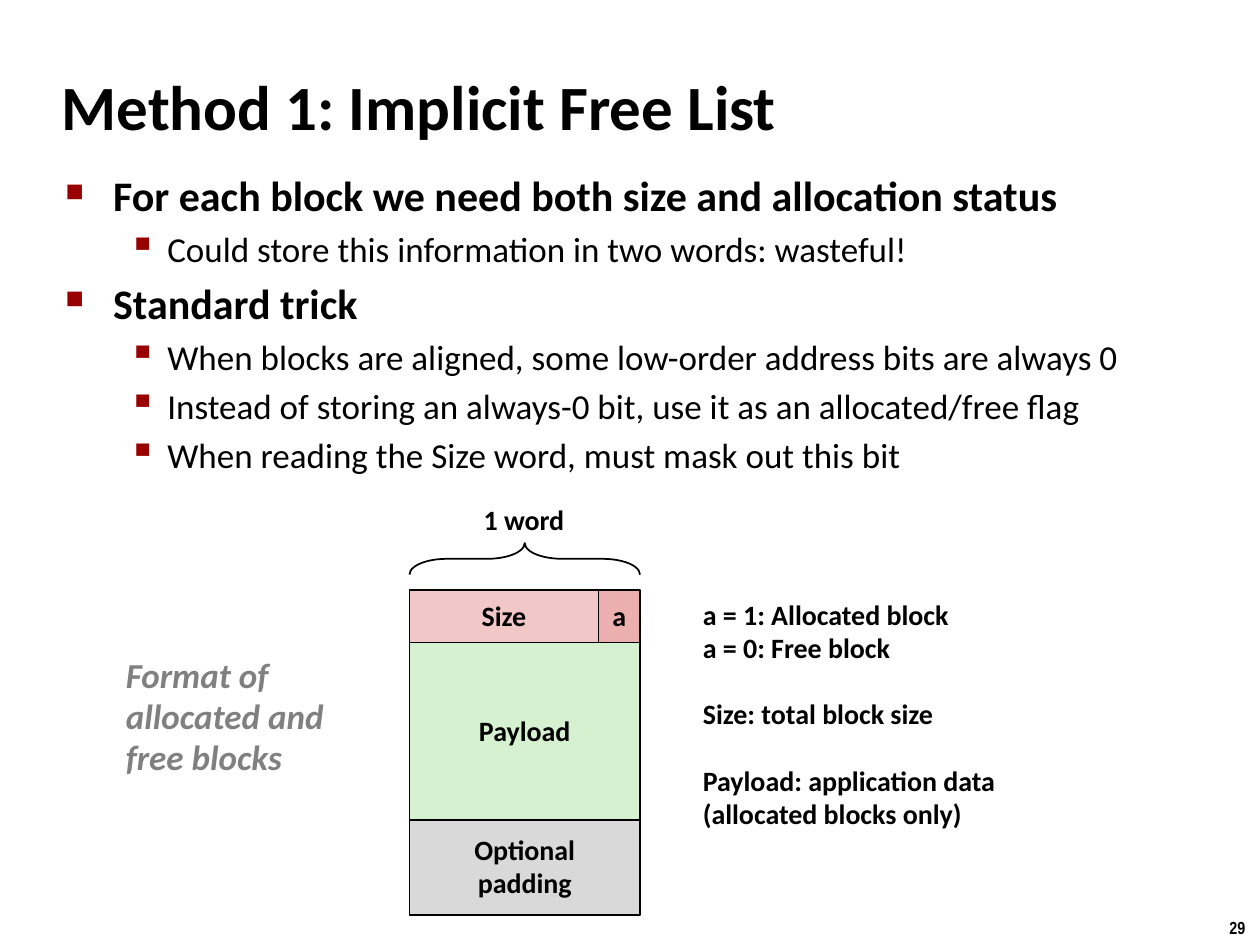
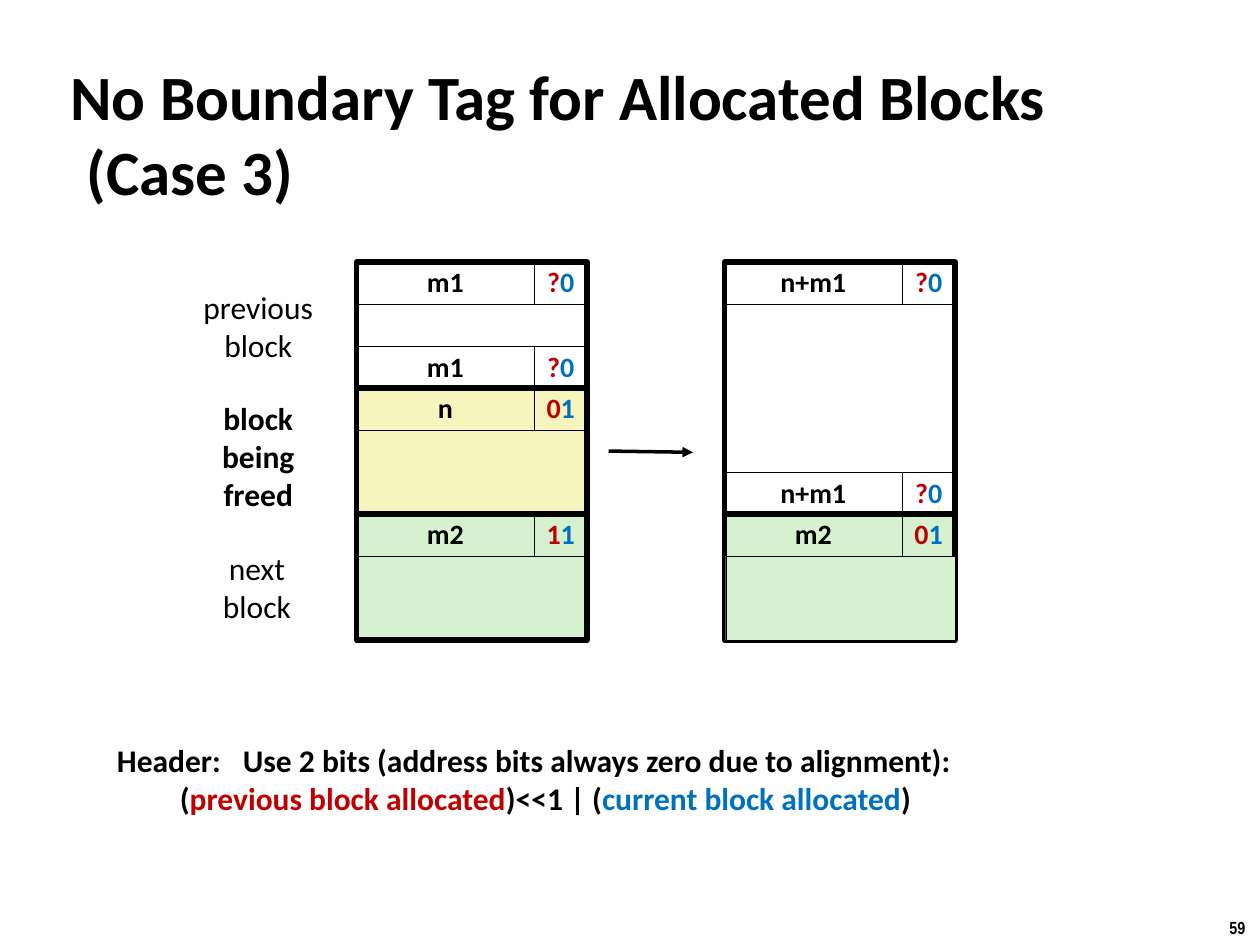
"""Build two slides on block formats in a memory allocator."""
import dataclasses

import pptx
import pptx.dml.color
import pptx.enum.shapes
import pptx.enum.text
import pptx.oxml.ns
import pptx.util
from lxml import etree

Inches = pptx.util.Inches
Pt = pptx.util.Pt
SHAPE = pptx.enum.shapes.MSO_SHAPE
ALIGN = pptx.enum.text.PP_ALIGN
ANCHOR = pptx.enum.text.MSO_ANCHOR
FIT = pptx.enum.text.MSO_AUTO_SIZE


@dataclasses.dataclass(frozen=True)
class Theme:
    """Colours, fonts and type sizes of the deck."""
    ink: str = "000000"
    white: str = "FFFFFF"
    bullet: str = "990000"
    caption: str = "808080"
    size: str = "F1C7C7"
    flag: str = "EBAFAF"
    green: str = "D5F1CF"
    padding: str = "D9D9D9"
    yellow: str = "F6F5BD"
    previous: str = "C00000"
    current: str = "0070C0"
    title: dict = dataclasses.field(default_factory=lambda: dict(name="Calibri", size=Pt(36), bold=True))
    topic: dict = dataclasses.field(default_factory=lambda: dict(name="Calibri", size=Pt(24), bold=True))
    detail: dict = dataclasses.field(default_factory=lambda: dict(name="Calibri", size=Pt(20), bold=False))
    format: dict = dataclasses.field(
        default_factory=lambda: dict(name="Calibri", size=Pt(20), bold=True, italic=True))
    cell: dict = dataclasses.field(default_factory=lambda: dict(name="Calibri", size=Pt(16), bold=True))
    label: dict = dataclasses.field(default_factory=lambda: dict(name="Calibri", size=Pt(18), bold=False))
    strong: dict = dataclasses.field(default_factory=lambda: dict(name="Calibri", size=Pt(18), bold=True))
    number: dict = dataclasses.field(default_factory=lambda: dict(name="Arial Narrow", size=Pt(10), bold=True))


THEME = Theme()

IMPLICIT = dict(title="Method 1: Implicit Free List", title_at=(0.39, 0.52, 7.21, 0.63), number="29")
OUTLINE = [
    (0, "For each block we need both size and allocation status"),
    (1, "Could store this information in two words: wasteful!"),
    (0, "Standard trick"),
    (1, "When blocks are aligned, some low-order address bits are always 0"),
    (1, "Instead of storing an always-0 bit, use it as an allocated/free flag"),
    (1, "When reading the Size word, must mask out this bit"),
]
LEVELS = [
    dict(font=THEME.topic, left=0.38, hang=0.38, mark="■", percent=60, before=4.8),
    dict(font=THEME.detail, left=0.81, hang=0.31, mark="▪", percent=110, before=4),
]
FORMAT_LEFT, FORMAT_TOP, WORD, FLAG = 3.25, 4.68, 1.83, 0.33
FORMAT_ROWS = [
    (0.42, [(WORD - FLAG, ["Size"], THEME.size), (FLAG, ["a"], THEME.flag)]),
    (1.41, [(WORD, ["Payload"], THEME.green)]),
    (0.75, [(WORD, ["Optional", "padding"], THEME.padding)]),
]
FORMAT_CAPTION = ["Format of", "allocated and", "free blocks"]
LEGEND = [
    ["a = 1: Allocated block", "a = 0: Free block"],
    ["Size: total block size"],
    ["Payload: application data", "(allocated blocks only)"],
]

BOUNDARY = dict(title="No Boundary Tag for Allocated Blocks (Case 3)",
                title_at=(0.46, 0.74, 9.08, 0.63), number="59")
MEMORY_TOP, UNIT, SIZE_WIDTH, BITS_WIDTH = 2.08, 1 / 3, 1.41, 0.42
MEMORY_WIDTH = SIZE_WIDTH + BITS_WIDTH
BEFORE_LEFT, AFTER_LEFT = 2.83, 5.75
BEFORE = [
    (THEME.white, [(1, "m1", "?0"), (1, None, None), (1, "m1", "?0")]),
    (THEME.yellow, [(1, "n", "01"), (2, None, None)]),
    (THEME.green, [(1, "m2", "11"), (2, None, None)]),
]
AFTER = [
    (THEME.white, [(1, "n+m1", "?0"), (4, None, None), (1, "n+m1", "?0")]),
    (THEME.green, [(1, "m2", "01"), (2, None, None)]),
]
BLOCK_LABELS = [
    (["previous", "block"], (1.5, 2.24, 1.1, 0.71), THEME.label),
    (["block", "being", "freed"], (1.66, 3.12, 0.78, 1.01), THEME.strong),
    (["next", "block"], (1.66, 4.31, 0.76, 0.71), THEME.label),
]
HEADER = [
    "Header:\tUse 2 bits (address bits always zero due to alignment):",
    [("\t(", THEME.ink), ("previous block allocated", THEME.previous), (")<<1 | (", THEME.ink),
     ("current block allocated", THEME.current), (")", THEME.ink)],
]


def rgb(colour):
    return pptx.dml.color.RGBColor.from_string(colour)


def box(at):
    return [Inches(length) for length in at]


def apply(target, values):
    for name, value in values.items():
        setattr(target, name, value)


def write(paragraph, content, font, colour=THEME.ink):
    """Fill a paragraph with a string or with (text, colour) runs."""
    runs = [(content, colour)] if isinstance(content, str) else content
    for text, run_colour in runs:
        run = paragraph.add_run()
        run.text = text
        apply(run.font, font)
        run.font.color.rgb = rgb(run_colour)


def write_lines(frame, lines, font, colour=THEME.ink, **layout):
    for index, line in enumerate(lines):
        paragraph = frame.paragraphs[0] if index == 0 else frame.add_paragraph()
        apply(paragraph, layout)
        write(paragraph, line, font, colour)


def add_label(slide, at, lines, font, colour=THEME.ink, **layout):
    frame = slide.shapes.add_textbox(*box(at)).text_frame
    apply(frame, dict(word_wrap=False, auto_size=FIT.SHAPE_TO_FIT_TEXT))
    write_lines(frame, lines, font, colour, **layout)
    return frame


def add_cell(slide, at, fill=None, lines=(), weight=0.25, kind=SHAPE.RECTANGLE):
    """Draw an outlined shape, filled and labelled when asked."""
    cell = slide.shapes.add_shape(kind, *box(at))
    cell.shadow.inherit = False
    if fill:
        cell.fill.solid()
        cell.fill.fore_color.rgb = rgb(fill)
    else:
        cell.fill.background()
    cell.line.color.rgb = rgb(THEME.ink)
    cell.line.width = Pt(weight)
    apply(cell.text_frame, dict(word_wrap=False, vertical_anchor=ANCHOR.MIDDLE))
    write_lines(cell.text_frame, lines, THEME.cell, alignment=ALIGN.CENTER, line_spacing=0.98)
    return cell


def indent(paragraph, left, hang):
    properties = paragraph._p.get_or_add_pPr()
    properties.set("marL", str(Inches(left)))
    properties.set("indent", str(-Inches(hang)))
    return properties


def add_slide(deck, title, title_at, number):
    slide = deck.slides.add_slide(deck.slide_layouts[5])
    heading = slide.shapes.title
    apply(heading, dict(zip(("left", "top", "width", "height"), box(title_at))))
    frame = heading.text_frame
    apply(frame, dict(word_wrap=True, auto_size=FIT.NONE, vertical_anchor=ANCHOR.MIDDLE))
    indent(frame.paragraphs[0], 0.13, 0.13)
    write_lines(frame, [title], THEME.title, alignment=ALIGN.LEFT)
    add_label(slide, (9.66, 7.23, 0.34, 0.27), [number], THEME.number)
    return slide


def add_outline(slide):
    frame = slide.shapes.add_textbox(*box((0.42, 1.3, 9.03, 2.36))).text_frame
    frame.word_wrap = True
    for index, (depth, text) in enumerate(OUTLINE):
        level = LEVELS[depth]
        paragraph = frame.add_paragraph() if index else frame.paragraphs[0]
        paragraph.level = depth
        properties = indent(paragraph, level["left"], level["hang"])
        colour = etree.SubElement(properties, pptx.oxml.ns.qn("a:buClr"))
        etree.SubElement(colour, pptx.oxml.ns.qn("a:srgbClr"), val=THEME.bullet)
        etree.SubElement(properties, pptx.oxml.ns.qn("a:buSzPct"), val=str(level["percent"] * 1000))
        etree.SubElement(properties, pptx.oxml.ns.qn("a:buChar"), char=level["mark"])
        if index:
            paragraph.space_before = Pt(level["before"])
        write(paragraph, text, level["font"])


def add_format(slide):
    top = FORMAT_TOP
    for height, cells in FORMAT_ROWS:
        left = FORMAT_LEFT
        for width, lines, fill in cells:
            add_cell(slide, (left, top, width, height), fill, lines, weight=1)
            left += width
        top += height
    brace = add_cell(slide, (4.04, 3.52, 0.25, WORD), weight=1, kind=SHAPE.RIGHT_BRACE)
    brace.rotation = 270
    brace.adjustments[0] = 1.19
    add_label(slide, (3.74, 3.95, 0.85, 0.37), ["1 word"], THEME.cell, line_spacing=0.98)
    add_label(slide, (0.9, 5.15, 1.78, 1.09), FORMAT_CAPTION, THEME.format, THEME.caption,
              line_spacing=0.98)
    legend = add_label(slide, (5.48, 4.71, 2.55, 2.22), sum(LEGEND, []), THEME.cell, line_spacing=0.98)
    start = 0
    for group in LEGEND[:-1]:
        start += len(group)
        legend.paragraphs[start].space_before = Pt(19)


def add_memory(slide, left, blocks, cover_last=False):
    """Draw a column of blocks; cover_last lays the last row over the frames."""
    top, frames = MEMORY_TOP, []
    for fill, rows in blocks:
        block_top = top
        for units, size, bits in rows:
            height = units * UNIT
            row = (left, top, MEMORY_WIDTH, height)
            if size:
                flags = [list(zip(bits, (THEME.previous, THEME.current)))]
                add_cell(slide, (left, top, SIZE_WIDTH, height), fill, [size])
                add_cell(slide, (left + SIZE_WIDTH, top, BITS_WIDTH, height), fill, flags)
            else:
                add_cell(slide, row, fill)
            top += height
        frames.append((left, block_top, MEMORY_WIDTH, top - block_top))
    for frame in frames:
        add_cell(slide, frame, weight=3)
    if cover_last:
        add_cell(slide, (left + 0.01, row[1], MEMORY_WIDTH - 0.01, row[3]), fill)


def add_arrow(slide, start, end):
    arrow = slide.shapes.add_connector(pptx.enum.shapes.MSO_CONNECTOR.STRAIGHT, *box(start + end))
    arrow.line.color.rgb = rgb(THEME.ink)
    arrow.line.width = Pt(2)
    etree.SubElement(arrow.line._get_or_add_ln(), pptx.oxml.ns.qn("a:tailEnd"), type="triangle")
    etree.SubElement(arrow._element.spPr, pptx.oxml.ns.qn("a:effectLst"))


def main():
    deck = pptx.Presentation()
    apply(deck, dict(slide_width=Inches(10), slide_height=Inches(7.5)))

    implicit = add_slide(deck, **IMPLICIT)
    add_outline(implicit)
    add_format(implicit)

    boundary = add_slide(deck, **BOUNDARY)
    add_memory(boundary, BEFORE_LEFT, BEFORE)
    add_memory(boundary, AFTER_LEFT, AFTER, cover_last=True)
    add_arrow(boundary, (4.83, 3.58), (5.5, 3.59))
    for lines, at, font in BLOCK_LABELS:
        add_label(boundary, at, lines, font, alignment=ALIGN.CENTER)
    add_label(boundary, (0.83, 5.83, 7.06, 0.71), HEADER, THEME.strong)

    deck.save("out.pptx")


if __name__ == "__main__":
    main()
